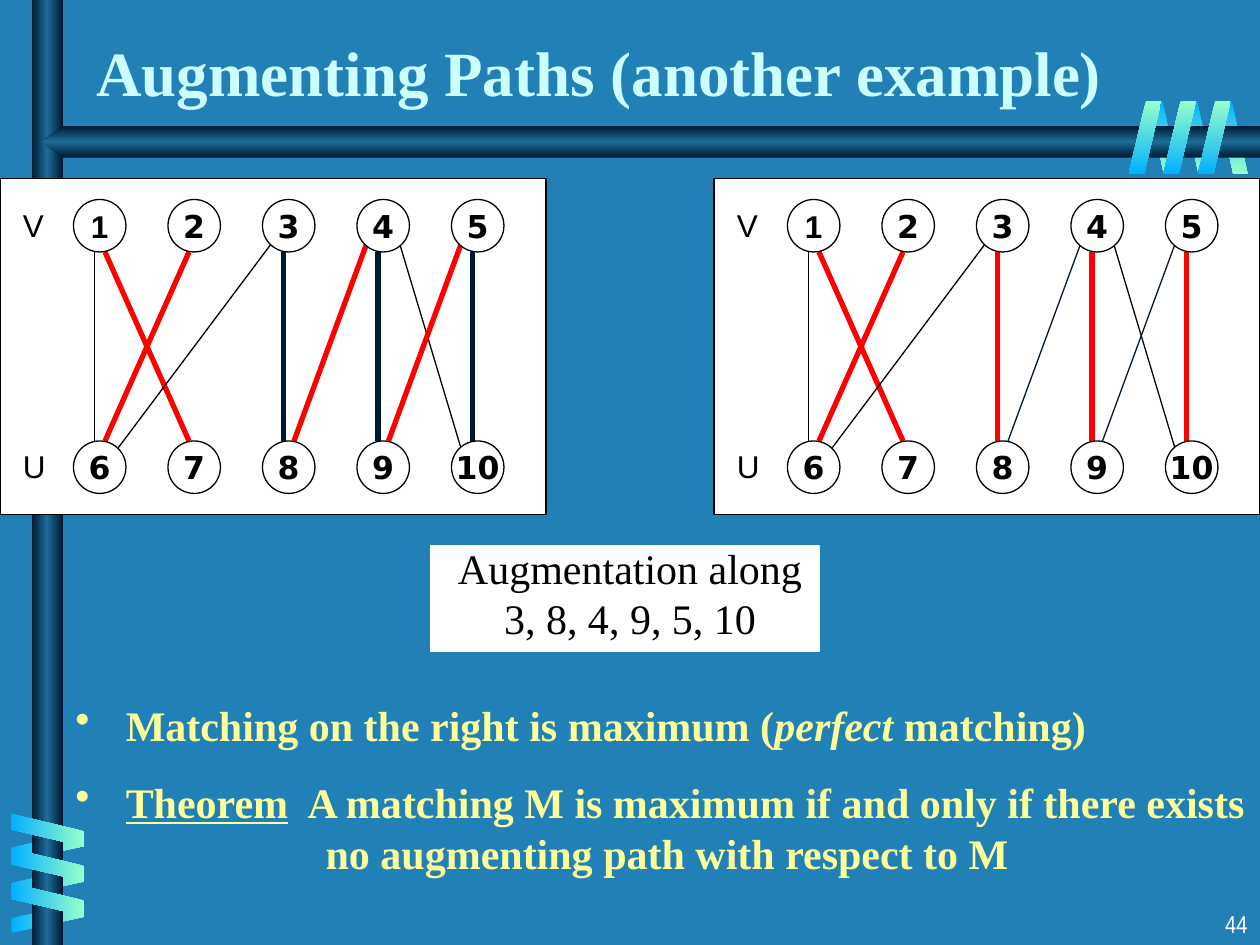
from lxml import etree
from pptx import Presentation
from pptx.dml.color import RGBColor
from pptx.enum.shapes import MSO_CONNECTOR, MSO_SHAPE
from pptx.enum.text import MSO_ANCHOR, PP_ALIGN
from pptx.oxml import parse_xml
from pptx.oxml.ns import nsdecls, qn
from pptx.util import Pt

RECTANGLE = MSO_SHAPE.RECTANGLE
OVAL = MSO_SHAPE.OVAL
PARALLELOGRAM = MSO_SHAPE.PARALLELOGRAM
STRAIGHT = MSO_CONNECTOR.STRAIGHT
LEFT, CENTER, RIGHT = PP_ALIGN.LEFT, PP_ALIGN.CENTER, PP_ALIGN.RIGHT
TOP, MIDDLE, BOTTOM = MSO_ANCHOR.TOP, MSO_ANCHOR.MIDDLE, MSO_ANCHOR.BOTTOM

BLACK, WHITE, RED, NAVY = "000000", "FFFFFF", "FF0000", "001932"
YELLOW = "FFFF99"
SERIF = "Times New Roman"
BAR_STOPS = [(0, NAVY), (50, "1C6D9A"), (100, NAVY)]
FRONT_STOPS = [(0, "99FFCC"), (100, "01B0FF")]
BACK_STOPS = [(0, "01B0FF"), (100, "99FFCC")]

THIN, BOLD_RED, BOLD_NAVY, THIN_NAVY = (BLACK, 0.75), (RED, 3), (NAVY, 3), (NAVY, 0.75)
SHARED_EDGES = [
    (1, 6, -3, -3, THIN),
    (1, 7, 3, -3, BOLD_RED),
    (2, 6, -3, 3, BOLD_RED),
    (3, 6, -9, 9, THIN),
    (4, 10, 9, -9, THIN),
]
UPRIGHT_EDGES = [(3, 8, -3, -3), (4, 9, -3, -3), (5, 10, -3, -3)]
SLANTED_EDGES = [(4, 8, -9, 3), (5, 9, -9, 3)]


def color(code):
    """Turn a hex string into a colour."""
    return RGBColor.from_string(code)


def add_block(page, kind, left, top, width, height, fill, line=None):
    """Add a flat preset shape with an optional thin outline."""
    block = page.shapes.add_shape(kind, Pt(left), Pt(top), Pt(width), Pt(height))
    block.shadow.inherit = False
    block.fill.solid()
    block.fill.fore_color.rgb = color(fill)
    if line:
        block.line.color.rgb = color(line)
        block.line.width = Pt(0.75)
    else:
        block.line.fill.background()
    return block


def set_gradient(shape, stops, angle):
    """Fill a shape with a gradient that keeps its direction under rotation."""
    shape.fill.gradient()
    properties = shape._element.spPr
    marks = "".join(
        f'<a:gs pos="{place * 1000}"><a:srgbClr val="{code}"/></a:gs>' for place, code in stops
    )
    gradient = parse_xml(
        f'<a:gradFill {nsdecls("a")} rotWithShape="0"><a:gsLst>{marks}</a:gsLst>'
        f'<a:lin ang="{angle * 60000}" scaled="0"/></a:gradFill>'
    )
    properties.replace(properties.find(qn("a:gradFill")), gradient)


def add_coil(page, left, top, step, width, stops, angle, rotation, flipped):
    """Add three slanted slats at equal steps."""
    for index in range(3):
        slat = add_block(page, PARALLELOGRAM, left + index * step[0], top + index * step[1],
                         width, 41.8, WHITE)
        slat.adjustments[0] = 0.53
        slat.rotation = rotation
        if flipped:
            slat._element.spPr.xfrm.set("flipH", "1")
        set_gradient(slat, stops, angle)


def add_pointed_bar(page):
    """Add the horizontal bar with a pointed left end."""
    points = [(36, 72), (24, 81), (36, 90), (720, 90)]
    builder = page.shapes.build_freeform(Pt(720), Pt(72))
    builder.add_line_segments([(Pt(x), Pt(y)) for x, y in points], close=True)
    bar = builder.convert_to_shape()
    bar.shadow.inherit = False
    bar.line.fill.background()
    set_gradient(bar, BAR_STOPS, 90)


def add_span(para, text, size, font, code, bold=False, italic=False, underline=False):
    """Add one formatted run."""
    span = para.add_run()
    span.text = text
    span.font.size = Pt(size)
    span.font.name = font
    span.font.color.rgb = color(code)
    span.font.bold = bold
    span.font.italic = italic
    span.font.underline = underline
    return span


def add_text(page, left, top, width, height, lines, size, font, code,
             bold=False, align=LEFT, anchor=TOP, wrap=True, spacing=None):
    """Add a text box with one paragraph per line."""
    box = page.shapes.add_textbox(Pt(left), Pt(top), Pt(width), Pt(height))
    frame = box.text_frame
    frame.word_wrap = wrap
    frame.vertical_anchor = anchor
    for index, line in enumerate(lines):
        para = frame.add_paragraph() if index else frame.paragraphs[0]
        para.alignment = align
        para.line_spacing = spacing
        add_span(para, line, size, font, code, bold)


def add_edge(page, left, upper, lower, upper_shift, lower_shift, style):
    """Draw the edge between an upper and a lower node."""
    start_y = 138 if abs(upper_shift) == 9 else 144
    end_y = 258 if abs(lower_shift) == 9 else 252
    edge = page.shapes.add_connector(
        STRAIGHT,
        Pt(left + 57 + 54 * (upper - 1) + upper_shift), Pt(start_y),
        Pt(left + 57 + 54 * (lower - 6) + lower_shift), Pt(end_y),
    )
    edge.line.color.rgb = color(style[0])
    edge.line.width = Pt(style[1])
    etree.SubElement(edge._element.spPr, qn("a:effectLst"))


def add_node(page, left, number):
    """Add a numbered circle in its row and column."""
    row, column = divmod(number - 1, 5)
    node = add_block(page, OVAL, left + 42 + 54 * column, 114 + 138 * row, 30, 30, WHITE, BLACK)
    frame = node.text_frame
    frame.word_wrap = False
    frame.vertical_anchor = MIDDLE
    para = frame.paragraphs[0]
    para.alignment = CENTER
    add_span(para, str(number), 18, "Arial" if number == 1 else "DejaVu Sans", BLACK, True)


def add_graph(page, left, upright_style, slanted_style):
    """Add one bipartite graph on a white panel."""
    add_block(page, RECTANGLE, left, 102, 312, 192, WHITE, BLACK)
    edges = SHARED_EDGES + [(*edge, upright_style) for edge in UPRIGHT_EDGES]
    edges += [(*edge, slanted_style) for edge in SLANTED_EDGES]
    for edge in edges:
        add_edge(page, left, *edge)
    for number in range(1, 11):
        add_node(page, left, number)
    for label, top in (("V", 114), ("U", 252)):
        add_text(page, left + 6, top, 27, 29, [label], 18, "Arial", BLACK, wrap=False)


def set_indent(para, margin, bullet=False):
    """Set the left margin and, for a list item, a hanging bullet."""
    properties = para._p.get_or_add_pPr()
    properties.set("marL", str(Pt(margin)))
    properties.set("indent", str(Pt(-margin if bullet else 0)))
    if bullet:
        tint = etree.SubElement(properties, qn("a:buClr"))
        etree.SubElement(tint, qn("a:srgbClr")).set("val", YELLOW)
        etree.SubElement(properties, qn("a:buChar")).set("char", "•")


def add_statements(page):
    """Add the two bulleted statements."""
    box = page.shapes.add_textbox(Pt(36), Pt(396), Pt(684), Pt(109))
    frame = box.text_frame
    frame.word_wrap = True
    frame.margin_right = Pt(0)
    style = (24, SERIF, YELLOW, True)
    matching, theorem, ending = frame.paragraphs[0], frame.add_paragraph(), frame.add_paragraph()
    for para, margin, bullet in ((matching, 28.8, True), (theorem, 28.8, True), (ending, 143, False)):
        set_indent(para, margin, bullet)
        para.line_spacing = Pt(29)
    theorem.space_before = Pt(15)
    add_span(matching, "Matching on the right is maximum (", *style)
    add_span(matching, "perfect ", *style, italic=True)
    add_span(matching, "matching)", *style)
    add_span(theorem, "Theorem", *style, underline=True)
    gap = add_span(theorem, " ", *style)
    gap.font._element.set("spc", "500")
    add_span(theorem, "A matching M is maximum if and only if there exists", *style)
    add_span(ending, "no augmenting path with respect to M", *style)


def add_backdrop(page):
    """Add the background colour, the two bars and the coils around them."""
    page.background.fill.solid()
    page.background.fill.fore_color.rgb = color("2181B7")
    add_coil(page, 656, 57.6, (19.8, 0), 17.3, BACK_STOPS, 90, 180, True)
    add_coil(page, 18.7, 463, (0, 20.2), 17.3, BACK_STOPS, 180, 90, True)
    upright_bar = add_block(page, RECTANGLE, 18, 0, 18, 540, NAVY)
    set_gradient(upright_bar, BAR_STOPS, 180)
    add_pointed_bar(page)
    add_coil(page, 18, 453.6, (0, 19.8), 18.7, FRONT_STOPS, 180, 270, False)
    add_coil(page, 645, 57.6, (19.8, 0), 18.7, FRONT_STOPS, 90, 0, False)


def main():
    """Build the slide and save it."""
    deck = Presentation()
    deck.slide_width, deck.slide_height = Pt(720), Pt(540)
    page = deck.slides.add_slide(deck.slide_layouts[6])
    add_backdrop(page)
    add_text(page, 48, 12, 598, 54, ["Augmenting Paths (another example)"],
             36, SERIF, "CCFFFF", bold=True, anchor=BOTTOM)
    add_graph(page, 0, BOLD_NAVY, BOLD_RED)
    add_graph(page, 408, BOLD_RED, THIN_NAVY)
    add_block(page, RECTANGLE, 246, 312, 222, 60, WHITE, WHITE)
    add_text(page, 240, 306, 240, 65, ["Augmentation along", "3, 8, 4, 9, 5, 10"],
             24, SERIF, BLACK, align=CENTER, spacing=Pt(29))
    add_statements(page)
    add_text(page, 570, 516, 150, 24, ["44"], 14, "Arial Narrow", WHITE, align=RIGHT)
    deck.save("out.pptx")


if __name__ == "__main__":
    main()
